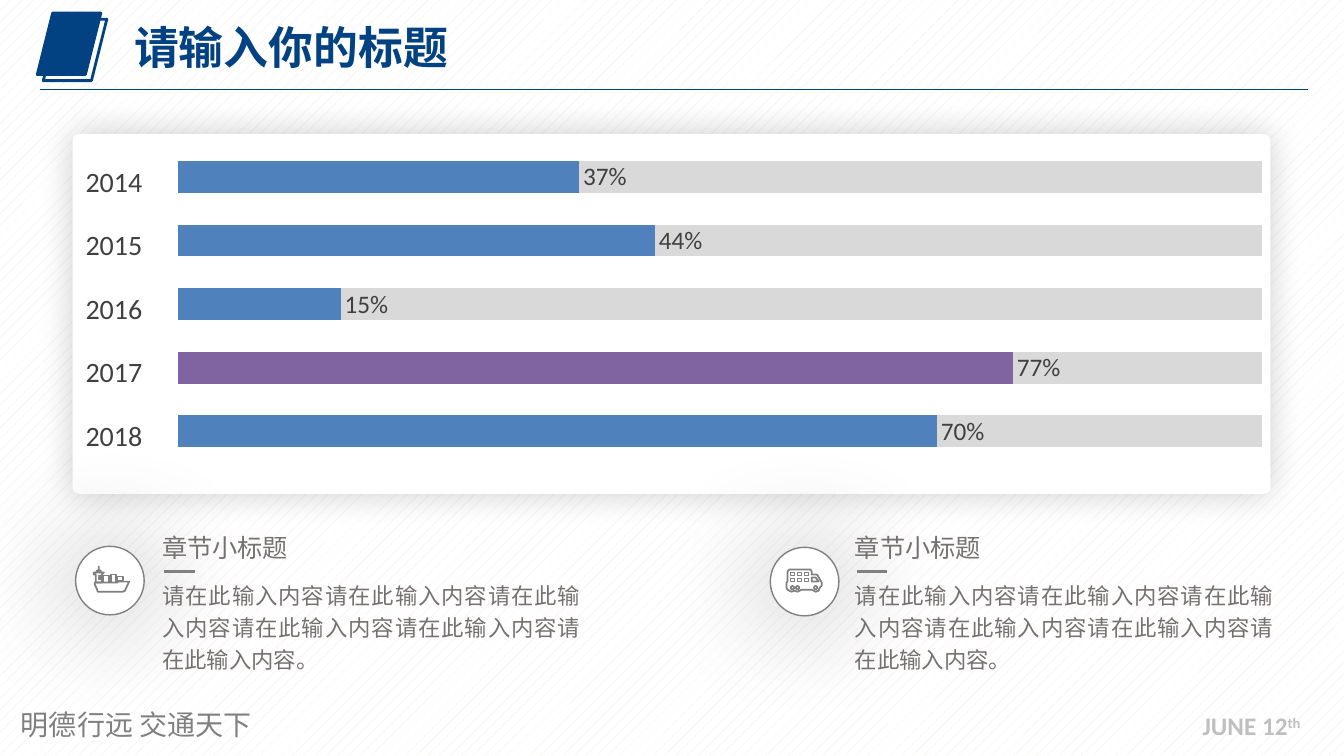
from math import cos, pi, sin

from lxml.etree import SubElement
from pptx import Presentation
from pptx.chart.data import CategoryChartData
from pptx.dml.color import RGBColor
from pptx.enum.chart import XL_CHART_TYPE, XL_LABEL_POSITION
from pptx.enum.dml import MSO_PATTERN
from pptx.enum.shapes import MSO_CONNECTOR, MSO_SHAPE
from pptx.enum.text import MSO_ANCHOR, MSO_AUTO_SIZE, PP_ALIGN
from pptx.oxml.ns import qn
from pptx.util import Inches, Pt

NAVY, GREY, TEXT_GREY, DARK, WHITE = "024282", "808080", "767171", "404040", "FFFFFF"
TRACK, BAR, HIGHLIGHT = "D9D9D9", "4F81BD", "8064A2"
LATIN, CHINESE, FOOTER_FONT = "Calibri", "Noto Sans CJK SC", "Noto Sans CJK JP"

TITLE = "请输入你的标题"
FOOTER = "明德行远 交通天下"
SHARES = {"2014": 0.37, "2015": 0.44, "2016": 0.15, "2017": 0.77, "2018": 0.70}
BEST_YEAR = "2017"
SUBTITLE = "章节小标题"
BODY = "请在此输入内容" * 6 + "。"


def rectangle(left, top, right, bottom):
    return [(left, top), (right, top), (right, bottom), (left, bottom)]


def wheel(x, y, radius=0.016, sides=12):
    angles = [2 * pi * side / sides for side in range(sides)]
    return [(x + radius * cos(angle), y + radius * sin(angle)) for angle in angles]


SHIP = [
    [(1.28, 5.77), (1.24, 5.86), (1.22, 5.87), (0.97, 5.87), (0.96, 5.84),
     (0.94, 5.8), (0.94, 5.78), (1.16, 5.78), (1.17, 5.77)],
    rectangle(1.1, 5.7, 1.15, 5.78),
    rectangle(1.16, 5.72, 1.22, 5.76),
    rectangle(1.02, 5.71, 1.08, 5.78),
    [(1.03, 5.68), (1.01, 5.7), (1.01, 5.78), (0.95, 5.78), (0.95, 5.7), (0.93, 5.7),
     (0.93, 5.68), (0.98, 5.68), (0.98, 5.67), (0.96, 5.67), (0.96, 5.66), (0.98, 5.66),
     (0.98, 5.62), (0.98, 5.66), (1, 5.66), (1, 5.67), (0.98, 5.67), (0.98, 5.68)],
    rectangle(0.98, 5.73, 1, 5.75),
    rectangle(0.98, 5.71, 1, 5.72),
]
BUS = [
    [(8.15, 5.78), (8.11, 5.71), (8.1, 5.7), (8.05, 5.7), (8.05, 5.67), (8.04, 5.65),
     (7.83, 5.65), (7.81, 5.67), (7.81, 5.77), (7.8, 5.78), (7.8, 5.83), (7.81, 5.85),
     (7.85, 5.87), (7.88, 5.86), (7.91, 5.87), (7.95, 5.85), (8.05, 5.85), (8.09, 5.87),
     (8.12, 5.86), (8.13, 5.83), (8.15, 5.81)],
    [(8.05, 5.77), (8.05, 5.73), (8.09, 5.73), (8.12, 5.77)],
]
BUS += [rectangle(left, top, left + 0.04, top + 0.03)
        for left in (7.84, 7.91, 7.98) for top in (5.68, 5.74)]
BUS += [wheel(x, 5.83) for x in (7.86, 7.91, 8.09)]
SECTIONS = [(0.75, 5.42, 1.51, SHIP), (7.64, 5.43, 8.38, BUS)]


def color(value):
    return RGBColor.from_string(value)


def inches(*values):
    return [Inches(value) for value in values]


def add_span(para, text, size, font, fill, bold=False, baseline=None):
    span = para.add_run()
    span.text = text
    span.font.size, span.font.bold, span.font.name = Pt(size), bold, font
    span.font.color.rgb = color(fill)
    properties = span.font._element
    SubElement(properties, qn("a:ea")).set("typeface", font)
    if baseline:
        properties.set("baseline", str(baseline * 1000))


def add_text(text, area, size, font, fill, wrap=True, align=None, spacing=None, bold=False):
    box = slide.shapes.add_textbox(*inches(*area))
    frame = box.text_frame
    frame.word_wrap = wrap
    frame.auto_size = MSO_AUTO_SIZE.SHAPE_TO_FIT_TEXT
    para = frame.paragraphs[0]
    para.alignment, para.line_spacing = align, spacing
    add_span(para, text, size, font, fill, bold)
    return para


def style(shape, fill=None, line=None, width=1):
    shape.shadow.inherit = False
    if fill:
        shape.fill.solid()
        shape.fill.fore_color.rgb = color(fill)
    else:
        shape.fill.background()
    if line:
        shape.line.color.rgb, shape.line.width = color(line), Pt(width)
    else:
        shape.line.fill.background()


def add_glow(shape, opacity, blur):
    effects = shape._element.spPr.find(qn("a:effectLst"))
    shadow = SubElement(effects, qn("a:outerShdw"), blurRad=str(Pt(blur)), dist="0",
                        dir="0", algn="ctr", rotWithShape="0")
    black = SubElement(shadow, qn("a:srgbClr"), val="000000")
    SubElement(black, qn("a:alpha"), val=str(opacity * 1000))


def add_rule(left, right, y, line, width):
    rule = slide.shapes.add_connector(MSO_CONNECTOR.STRAIGHT, *inches(left, y, right, y))
    rule.line.color.rgb, rule.line.width = color(line), Pt(width)
    SubElement(rule._element.spPr, qn("a:effectLst"))


def add_icon(contours):
    first, *others = [[inches(*point) for point in contour] for contour in contours]
    builder = slide.shapes.build_freeform(*first[0])
    builder.add_line_segments(first[1:], close=True)
    for contour in others:
        builder.move_to(*contour[0])
        builder.add_line_segments(contour[1:], close=True)
    style(builder.convert_to_shape(), line=GREY, width=1.25)


def add_share_chart():
    years = list(reversed(SHARES))
    data = CategoryChartData(number_format="0%")
    data.categories = years
    data.add_series("Series 1", [1] * len(years))
    data.add_series("Series 2", [SHARES[year] for year in years])
    chart = slide.shapes.add_chart(XL_CHART_TYPE.BAR_CLUSTERED,
                                   *inches(1.54, 1.44, 13.21, 3.46), data).chart
    chart.has_legend = chart.has_title = False
    chart.font.size, chart.font.name = Pt(10), LATIN
    chart.font.color.rgb = color("000000")
    chart.category_axis.visible = chart.value_axis.visible = False
    chart.value_axis.has_major_gridlines = False
    chart.value_axis.minimum_scale, chart.value_axis.maximum_scale = 0, 1.2
    plot = chart.plots[0]
    plot.gap_width, plot.overlap, plot.vary_by_categories = 100, 100, False
    for series, fill in zip(plot.series, (TRACK, BAR)):
        series.format.fill.solid()
        series.format.fill.fore_color.rgb = color(fill)
    shares = plot.series[1]
    best = shares.points[years.index(BEST_YEAR)].format.fill
    best.solid()
    best.fore_color.rgb = color(HIGHLIGHT)
    labels = shares.data_labels
    labels.show_value, labels.position = True, XL_LABEL_POSITION.OUTSIDE_END
    labels.number_format, labels.number_format_is_linked = "0%", False
    labels.font.size, labels.font.name = Pt(18), LATIN
    labels.font.color.rgb = color(DARK)
    area = chart._chartSpace.chart.plotArea
    for old in area.findall(qn("c:layout")):
        area.remove(old)
    layout = area.makeelement(qn("c:layout"))
    area.insert(0, layout)
    manual = SubElement(layout, qn("c:manualLayout"))
    for tag, value in (("layoutTarget", "inner"), ("xMode", "edge"), ("yMode", "edge"),
                       ("x", 0.017), ("y", 0), ("w", 0.977), ("h", 0.912)):
        SubElement(manual, qn("c:" + tag)).set("val", str(value))


deck = Presentation()
deck.slide_width, deck.slide_height = inches(13.33, 7.5)
slide = deck.slides.add_slide(deck.slide_layouts[5])
backdrop = slide.background.fill
backdrop.patterned()
backdrop.pattern = MSO_PATTERN.PERCENT_10
backdrop.fore_color.rgb, backdrop.back_color.rgb = color("EEECE1"), color(WHITE)

add_text(FOOTER, (0.11, 6.97, 3.94, 0.44), 20, FOOTER_FONT, GREY)
emblem = slide.shapes.add_group_shape()
for left, top, fill in ((0.37, 0.13, NAVY), (0.43, 0.19, None)):
    sheet = emblem.shapes.add_shape(MSO_SHAPE.PARALLELOGRAM, *inches(left, top, 0.63, 0.61))
    style(sheet, fill, NAVY, 2)
add_rule(0.4, 12.97, 0.89, NAVY, 0.75)

title = slide.shapes.title
title.left, title.top, title.width, title.height = inches(1.23, 0.21, 5.51, 0.67)
title.text_frame.vertical_anchor = MSO_ANCHOR.TOP
title.text_frame.auto_size = MSO_AUTO_SIZE.NONE
heading = title.text_frame.paragraphs[0]
heading.alignment, heading.line_spacing = PP_ALIGN.LEFT, 0.9
add_span(heading, TITLE, 32, CHINESE, NAVY, bold=True)

date = add_text("JUNE 12", (11.83, 7, 1.2, 0.4), 18, LATIN, "BFBFBF", wrap=False, bold=True)
add_span(date, "th", 18, LATIN, "BFBFBF", bold=True, baseline=30)

card = slide.shapes.add_shape(MSO_SHAPE.ROUNDED_RECTANGLE, *inches(0.72, 1.33, 11.88, 3.57))
card.adjustments[0] = 0.018
style(card, WHITE)
add_glow(card, 20, 25)
for row, year in enumerate(SHARES):
    add_text(year, (0.75, 1.58 + 0.63 * row, 0.99, 0.44), 20, LATIN, DARK)

for circle_left, circle_top, text_left, icon in SECTIONS:
    circle = slide.shapes.add_shape(MSO_SHAPE.OVAL, *inches(circle_left, circle_top, 0.68, 0.68))
    style(circle, WHITE, GREY)
    add_glow(circle, 40, 81)
    add_icon(icon)
    add_text(SUBTITLE, (text_left, 5.17, 1.73, 0.43), 18, CHINESE, TEXT_GREY, spacing=1.2)
    add_rule(text_left + 0.12, text_left + 0.42, 5.67, GREY, 1.5)
    add_text(BODY, (text_left, 5.67, 4.35, 1.04), 16, CHINESE, TEXT_GREY,
             align=PP_ALIGN.JUSTIFY, spacing=1.2)
add_share_chart()

deck.save("out.pptx")
